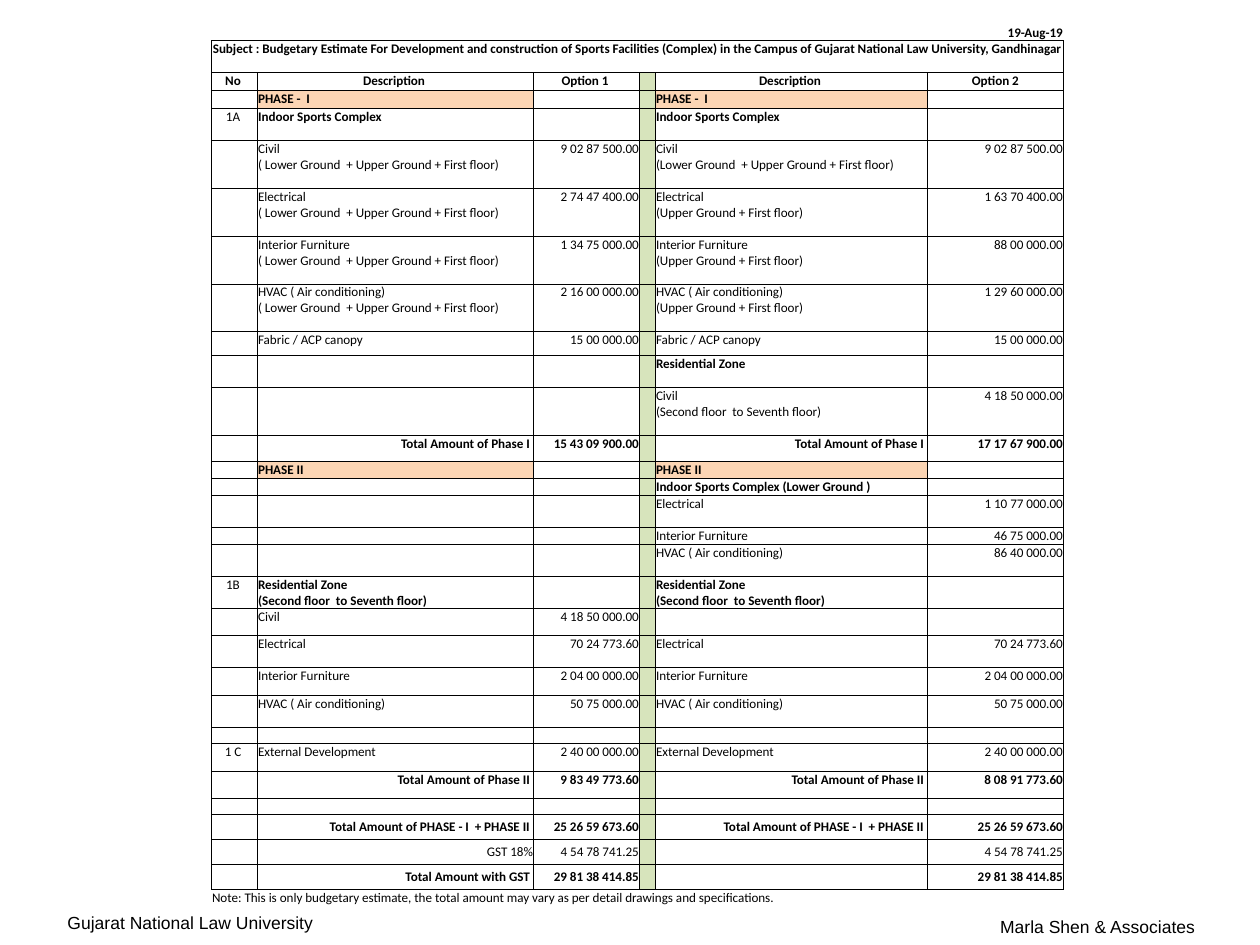
from pptx import Presentation
from pptx import util as u
from pptx.dml import color
from pptx.enum import text
from pptx.oxml import parse_xml
from pptx.oxml.ns import nsdecls

Pt = u.Pt
LEFT, MID, RIGHT = text.PP_ALIGN.LEFT, text.PP_ALIGN.CENTER, text.PP_ALIGN.RIGHT
GREEN, PEACH, BLACK = "D7E4BC", "FCD5B4", "000000"
PLAIN = "{2D5ABB26-0587-4C30-8999-92F81FD0307C}"  # table style without grid
WIDTHS = [36.8, 220.8, 84.8, 12.8, 217.6, 108.8]
GAP = 3  # green column between the two options

# Repeated wording
FULL = "Lower Ground  + Upper Ground + First floor)"
UPPER = "\v(Upper Ground + First floor)"
FLOORS = "(Second floor  to Seventh floor)"
ZONE = "Residential Zone\v" + FLOORS
AIR = "HVAC ( Air conditioning)"
FURN = "Interior Furniture"
HALL = "Indoor Sports Complex"
BOTH = "Total Amount of PHASE - I  + PHASE II "
SUBJECT = ("Subject : Budgetary Estimate For Development and construction of Sports "
           "Facilities (Complex) in the Campus of Gujarat National Law University, Gandhinagar")
NOTE = ("Note: This is only budgetary estimate, the total amount may vary "
        "as per detail drawings and specifications.")

# Kind, height, no, description 1, option 1, description 2, option 2
ROWS = [
    ("date", 12.8, "", "", "", "", "19-Aug-19"),
    ("title", 25.6, SUBJECT, "", "", "", ""),
    ("head", 14.4, "No ", "Description ", "Option 1 ", "Description ", "Option 2"),
    ("phase", 14.4, "", "PHASE -  I", "", "PHASE -  I", ""),
    ("bold", 25.6, "1A ", HALL, "", HALL, ""),
    ("item", 38.4, "", "Civil\v( " + FULL, "9 02 87 500.00", "Civil\v(" + FULL, "9 02 87 500.00"),
    ("item", 38, "", "Electrical\v( " + FULL, "2 74 47 400.00", "Electrical" + UPPER, "1 63 70 400.00"),
    ("item", 38.2, "", FURN + "\v( " + FULL, "1 34 75 000.00", FURN + UPPER, "88 00 000.00"),
    ("item", 38.2, "", AIR + "\v( " + FULL, "2 16 00 000.00", AIR + UPPER, "1 29 60 000.00"),
    ("item", 19.4, "", "Fabric / ACP canopy", "15 00 000.00", "Fabric / ACP canopy", "15 00 000.00"),
    ("bold", 25.6, "", "", "", "Residential Zone", ""),
    ("item", 38.2, "", "", "", "Civil\v" + FLOORS, "4 18 50 000.00"),
    ("total", 20.8, "", "Total Amount of Phase I ", "15 43 09 900.00",
     "Total Amount of Phase I ", "17 17 67 900.00"),
    ("phase", 13.6, "", "PHASE II", "", "PHASE II", ""),
    ("bold", 13.6, "", "", "", "Indoor Sports Complex (Lower Ground )", ""),
    ("item", 25.6, "", "", "", "Electrical", "1 10 77 000.00"),
    ("item", 13.6, "", "", "", FURN, "46 75 000.00"),
    ("item", 25.6, "", "", "", AIR, "86 40 000.00"),
    ("bold", 25.6, "1B ", ZONE, "", ZONE, ""),
    ("item", 21.6, "", "Civil", "4 18 50 000.00", "", ""),
    ("item", 25.6, "", "Electrical", "70 24 773.60", "Electrical", "70 24 773.60"),
    ("item", 22.4, "", FURN, "2 04 00 000.00", FURN, "2 04 00 000.00"),
    ("item", 25.6, "", AIR, "50 75 000.00", AIR, "50 75 000.00"),
    ("item", 12.8, "", "", "", "", ""),
    ("item", 22.4, "1 C ", "External Development", "2 40 00 000.00",
     "External Development", "2 40 00 000.00"),
    ("total", 21.6, "", "Total Amount of Phase II ", "9 83 49 773.60",
     "Total Amount of Phase II ", "8 08 91 773.60"),
    ("item", 12.8, "", "", "", "", ""),
    ("sum", 20, "", BOTH, "25 26 59 673.60", BOTH, "25 26 59 673.60"),
    ("tax", 20, "", "GST 18%", "4 54 78 741.25", "", "4 54 78 741.25"),
    ("sum", 20, "", "Total Amount with GST ", "29 81 38 414.85", "", "29 81 38 414.85"),
    ("note", 12.8, NOTE, "", "", "", ""),
]


def rgb(code):
    return color.RGBColor.from_string(code)


def style(par, name, size, bold=False):
    for run in par.runs:
        run.font.name, run.font.size, run.font.bold = name, Pt(size), bold
        run.font.color.rgb = rgb(BLACK)


def edge(cell, sides):
    """Draw thin lines on the given sides of a cell."""
    props = cell._tc.get_or_add_tcPr()
    for i, side in enumerate(sides):
        props.insert(i, parse_xml(
            f'<a:ln{side} {nsdecls("a")} w="6350"><a:solidFill>'
            f'<a:srgbClr val="{BLACK}"/></a:solidFill></a:ln{side}>'))


def align(kind, col):
    if kind in ("title", "head"):
        return MID
    if kind == "note":
        return LEFT
    if col == 0:
        return MID
    if col in (2, 5) or kind in ("total", "sum", "tax"):
        return RIGHT
    return LEFT


def fill(cell, kind, col):
    tint = None
    if kind not in ("date", "title", "note"):
        if col == GAP:
            tint = GREEN
        elif kind == "phase" and col in (1, 4):
            tint = PEACH
    if tint:
        cell.fill.solid()
        cell.fill.fore_color.rgb = rgb(tint)
    else:
        cell.fill.background()


def put(cell, words, kind, col):
    cell.margin_left = cell.margin_right = cell.margin_top = Pt(0.5)
    cell.margin_bottom = 0
    if kind in ("sum", "tax"):
        cell.vertical_anchor = text.MSO_ANCHOR.MIDDLE
    par = cell.text_frame.paragraphs[0]
    par.alignment = align(kind, col)
    if words:
        par.text = words
        bold = kind not in ("item", "tax", "note") and (col > 0 or kind in ("title", "head"))
        style(par, "Calibri", 10.5, bold)
    else:
        par._p.get_or_add_endParaRPr().set("sz", "800")
    fill(cell, kind, col)
    edge(cell, {"date": "B", "note": "T"}.get(kind, "LRTB"))


def grid(slide):
    frame = slide.shapes.add_table(len(ROWS), len(WIDTHS), Pt(169.2), Pt(19.4),
                                   Pt(sum(WIDTHS)), Pt(sum(row[1] for row in ROWS)))
    table = frame.table
    table.first_row = table.horz_banding = False
    table._tbl.tblPr.find("{*}tableStyleId").text = PLAIN
    for col, wide in zip(table.columns, WIDTHS):
        col.width = Pt(wide)
    for r, (kind, high, *words) in enumerate(ROWS):
        table.rows[r].height = Pt(high)
        words.insert(GAP, "")
        for c, word in enumerate(words):
            put(table.cell(r, c), word, kind, c)
        last = {"title": 5, "note": 4}.get(kind)
        if last:
            table.cell(r, 0).merge(table.cell(r, last))


def label(slide, words, left, top, side):
    box = slide.shapes.add_textbox(Pt(left), Pt(top), Pt(295.2), Pt(21.6))
    frame = box.text_frame
    frame.word_wrap = True
    frame.margin_left = frame.margin_right = Pt(4.3)
    frame.margin_top = frame.margin_bottom = Pt(2.2)
    frame.text = words
    par = frame.paragraphs[0]
    par.alignment = side
    style(par, "Arial", 14)


def main():
    deck = Presentation()
    deck.slide_width, deck.slide_height = Pt(1008), Pt(756)
    slide = deck.slides.add_slide(deck.slide_layouts[6])
    # Footer
    label(slide, "Marla Shen & Associates", 665.3, 730.8, RIGHT)
    label(slide, "Gujarat National Law University", 49.7, 727.2, LEFT)
    # Estimate
    grid(slide)
    deck.save("out.pptx")


if __name__ == "__main__":
    main()
